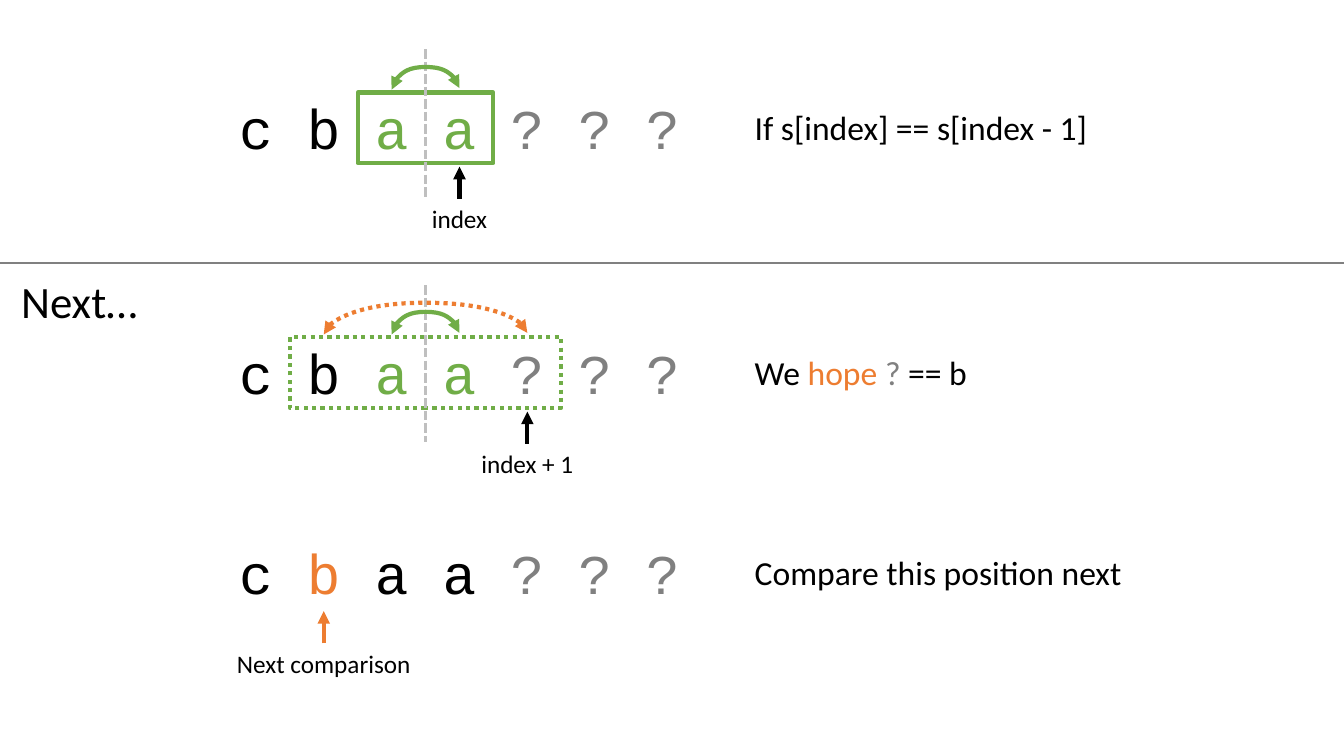
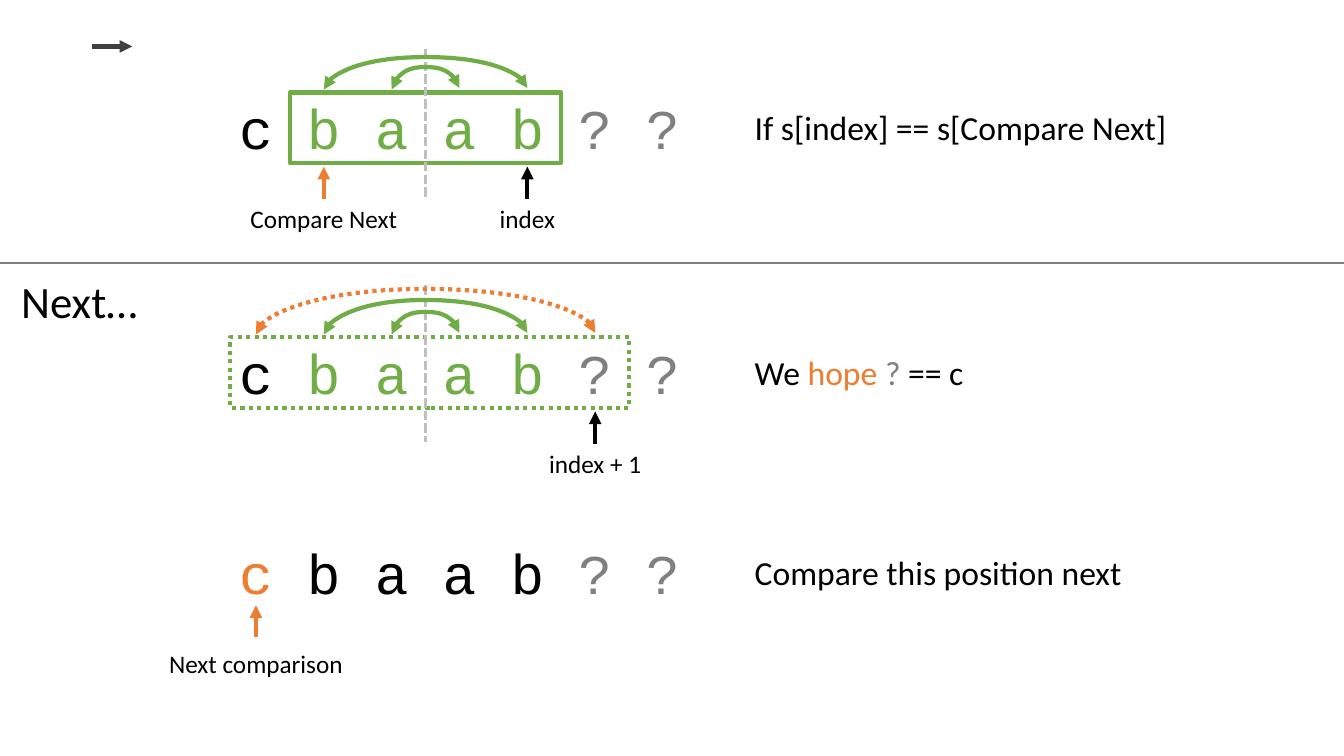
from lxml import etree
from pptx import Presentation
from pptx.dml.color import RGBColor
from pptx.enum.dml import MSO_LINE
from pptx.enum.shapes import MSO_CONNECTOR, MSO_SHAPE
from pptx.enum.text import MSO_ANCHOR, MSO_AUTO_SIZE, PP_ALIGN
from pptx.oxml.ns import qn
from pptx.util import Cm, Pt

STRAIGHT, CURVE = MSO_CONNECTOR.STRAIGHT, MSO_CONNECTOR.CURVE
DOTS, DASHES = MSO_LINE.ROUND_DOT, MSO_LINE.SQUARE_DOT
LEFT, CENTER = PP_ALIGN.LEFT, PP_ALIGN.CENTER
rgb = RGBColor.from_string

BLACK, GREEN, ORANGE = "000000", "70AD47", "ED7D31"
GRAY, LIGHT, DARK = "808080", "BFBFBF", "404040"
COLORS = {"k": BLACK, "g": GREEN, "o": ORANGE, "?": GRAY}

# Shared geometry in cm: letter columns and the tops of the three rows
WIDTH, HEIGHT = 33.87, 19.05
STEP = 1.71
COLUMNS = [6.45 + STEP * i for i in range(7)]
AXIS_X = (COLUMNS[2] + COLUMNS[3]) / 2
LETTER_W, LETTER_H = 1.3, 1.96
ROW_TOPS = [2.24, 8.41, 13.44]
AXES = [(1.24, 5), (7.19, 11.15), None]
DIVIDER_Y = 6.63
POINTER_DROP = 2.77
ARC_DEPTH = 0.04

# Per row: letters, their colours, framed columns, arcs (first, last, rise, colour),
# pointers (column, label, colour, lift) and the note beside the row
SLIDES = [
    [
        dict(letters="cbaa???", colors="kkgg???", frame=(2, 3),
             arcs=[(2, 3, 0.57, GREEN)],
             pointers=[(3, "index", BLACK, 0)],
             note=[("If s[index] == s[index - 1]", BLACK)]),
        dict(letters="cbaa???", colors="kkgg???", frame=(1, 4),
             arcs=[(1, 4, 0.8, ORANGE), (2, 3, 0.57, GREEN)],
             pointers=[(4, "index + 1", BLACK, 0)],
             note=[("We ", BLACK), ("hope ", ORANGE), ("?", GRAY), (" == b", BLACK)]),
        dict(letters="cbaa???", colors="kokk???", frame=None, arcs=[],
             pointers=[(1, "Next comparison", BLACK, 0)],
             note=[("Compare this position next", BLACK)]),
    ],
    [
        dict(letters="cbaab??", colors="kgggg??", frame=(1, 4),
             arcs=[(2, 3, 0.57, GREEN), (1, 4, 0.82, GREEN)],
             pointers=[(4, "index", BLACK, 0), (1, "Compare Next", ORANGE, 0)],
             note=[("If s[index] == s[Compare Next]", BLACK)]),
        dict(letters="cbaab??", colors="kgggg??", frame=(0, 5),
             arcs=[(1, 4, 0.87, GREEN), (2, 3, 0.57, GREEN), (0, 5, 1.15, ORANGE)],
             pointers=[(5, "index + 1", BLACK, 0)],
             note=[("We ", BLACK), ("hope ", ORANGE), ("?", GRAY), (" == c", BLACK)]),
        dict(letters="cbaab??", colors="okkkk??", frame=None, arcs=[],
             pointers=[(0, "Next comparison", ORANGE, 0.15)],
             note=[("Compare this position next", BLACK)]),
    ],
]
SLIDES[0][2]["pointers"] = [(1, "Next comparison", ORANGE, 0)]


def write(sp, runs, size, align=LEFT, font="Calibri"):
    """Fill a shape with one line of coloured runs."""
    tf = sp.text_frame
    frame_format = {"word_wrap": False, "auto_size": MSO_AUTO_SIZE.NONE,
                    "vertical_anchor": MSO_ANCHOR.TOP}
    for name, value in frame_format.items():
        setattr(tf, name, value)
    p = tf.paragraphs[0]
    p.alignment = align
    for text, color in runs:
        r = p.add_run()
        r.text = text
        for name, value in {"name": font, "size": Pt(size)}.items():
            setattr(r.font, name, value)
        r.font.color.rgb = rgb(color)


def draw_line(s, x1, y1, x2, y2, color, width=3, dash=None, ends=(), rise=0):
    """Draw a straight line, or with a rise an arc from x1 to x2 above y1."""
    if rise:
        # A curved connector lying on its side, bulging upwards
        x, y = (x1 + x2 - ARC_DEPTH) / 2, y1 - (ARC_DEPTH + x2 - x1) / 2
        c = s.shapes.add_connector(CURVE, Cm(x), Cm(y),
                                   Cm(x + ARC_DEPTH), Cm(y + x2 - x1))
    else:
        c = s.shapes.add_connector(STRAIGHT, Cm(x1), Cm(y1), Cm(x2), Cm(y2))
    spPr = c._element.spPr
    if rise:
        xfrm = spPr.find(qn("a:xfrm"))
        for name, value in {"rot": "5400000", "flipH": "1", "flipV": "1"}.items():
            xfrm.set(name, value)
        adjust = spPr.find(qn("a:prstGeom")).find(qn("a:avLst"))
        etree.SubElement(adjust, qn("a:gd"), name="adj1",
                         fmla=f"val {round(rise / ARC_DEPTH * 100000)}")
    c.line.color.rgb = rgb(color)
    c.line.width = Pt(width)
    if dash:
        c.line.dash_style = dash
    for end in ends:
        etree.SubElement(spPr.find(qn("a:ln")), qn(f"a:{end}"), type="triangle")
    etree.SubElement(spPr, qn("a:effectLst"))


prs = Presentation()
prs.slide_width, prs.slide_height = Cm(WIDTH), Cm(HEIGHT)

for rows in SLIDES:
    s = prs.slides.add_slide(prs.slide_layouts[5])

    # Title under the divider
    title = s.shapes.title
    place = {"left": 0.28, "top": 6.78, "width": 3.45, "height": 1.62}
    for name, value in place.items():
        setattr(title, name, Cm(value))
    write(title, [("Next…", BLACK)], 32)
    draw_line(s, 0, DIVIDER_Y, WIDTH, DIVIDER_Y, GRAY, 1.5)

    for row, top, axis, dash in zip(rows, ROW_TOPS, AXES, (None, DOTS, None)):
        # Letters
        for x, letter, key in zip(COLUMNS, row["letters"], row["colors"]):
            sp = s.shapes.add_textbox(Cm(x - LETTER_W / 2), Cm(top),
                                      Cm(LETTER_W), Cm(LETTER_H))
            write(sp, [(letter, COLORS[key])], 40, CENTER, "Courier New")

        # Frame round the palindrome, never wider than the first letter's box
        if row["frame"]:
            first, last = row["frame"]
            left = max(COLUMNS[first] - STEP / 2, COLUMNS[0] - LETTER_W / 2)
            right = COLUMNS[last] + STEP / 2
            sp = s.shapes.add_shape(MSO_SHAPE.RECTANGLE, Cm(left), Cm(top + 0.09),
                                    Cm(right - left), Cm(1.78))
            sp.shadow.inherit = False
            sp.fill.background()
            sp.line.color.rgb = rgb(GREEN)
            sp.line.width = Pt(3)
            if dash:
                sp.line.dash_style = dash

        # Mirror axis
        if axis:
            draw_line(s, AXIS_X, axis[0], AXIS_X, axis[1], LIGHT, 2.25, DASHES)

        # Arcs joining the mirrored letters
        for first, last, rise, color in row["arcs"]:
            y = top + 0.02
            draw_line(s, COLUMNS[first], y, COLUMNS[last], y, color,
                      dash=DOTS if color == ORANGE else None,
                      ends=("headEnd", "tailEnd"), rise=rise)

        # Pointers with their labels
        for column, label, color, lift in row["pointers"]:
            x, y = COLUMNS[column], top + POINTER_DROP
            draw_line(s, x, y - lift, x, top + LETTER_H - lift, color, ends=("tailEnd",))
            sp = s.shapes.add_textbox(Cm(x - 2.5), Cm(y), Cm(5), Cm(1.02))
            write(sp, [(label, BLACK)], 18, CENTER)

        # Note beside the row
        sp = s.shapes.add_textbox(Cm(18.77), Cm(top + 0.34), Cm(11), Cm(1.27))
        write(sp, row["note"], 24)

# Small arrow in the corner of the second slide
draw_line(s, 2.31, 1.17, 3.33, 1.17, DARK, ends=("tailEnd",))

prs.save("out.pptx")
